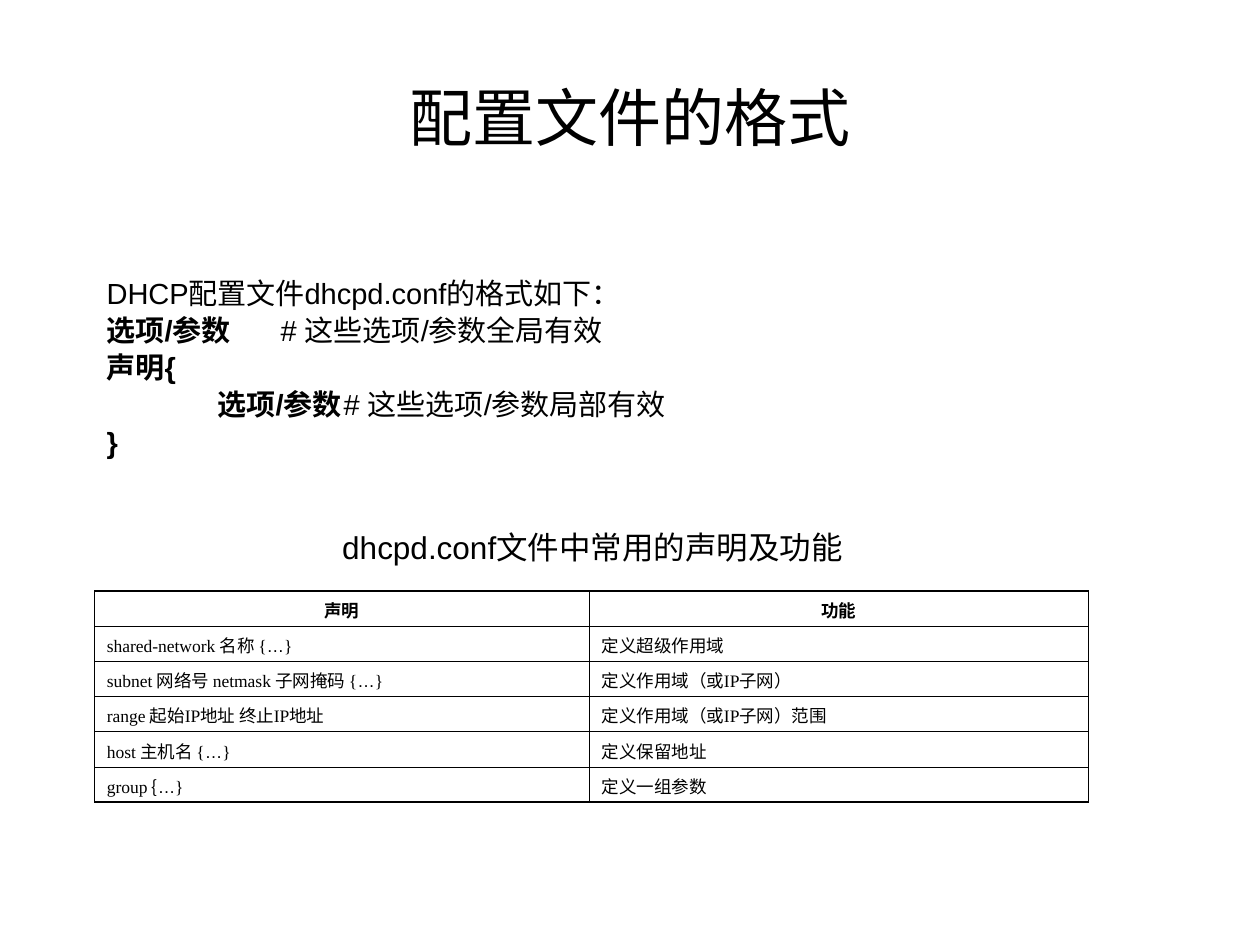
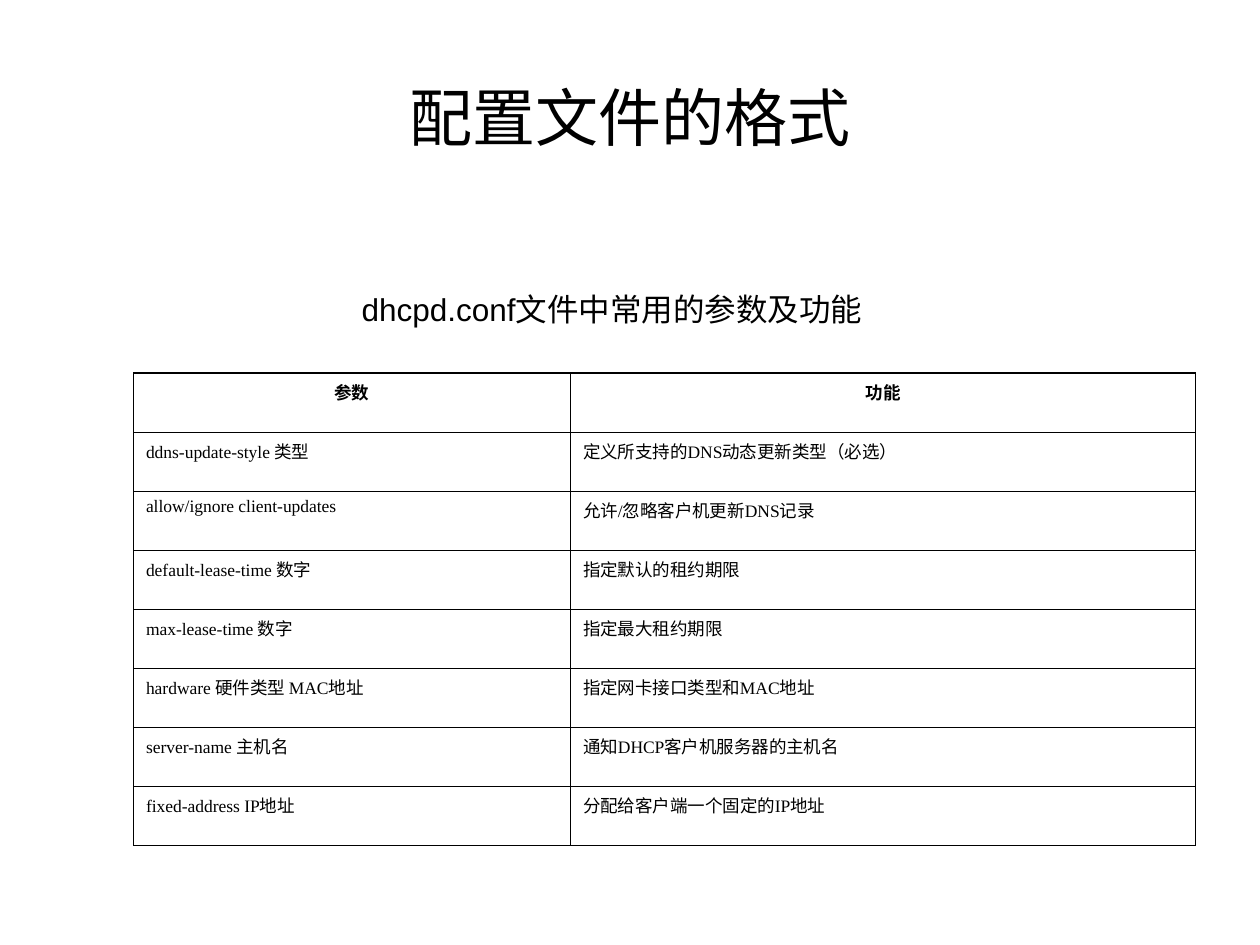
from lxml.etree import SubElement
from pptx import Presentation
from pptx.dml.color import RGBColor
from pptx.enum.text import MSO_ANCHOR, MSO_AUTO_SIZE, PP_ALIGN
from pptx.oxml.ns import qn
from pptx.util import Cm, Pt

BLACK = "000000"
SANS, SERIF, CHINESE = "Arial", "Times New Roman", "Noto Sans CJK SC"
HANGING = Cm(0.97)
TAB_STOPS = [Cm(2.54 * number) for number in range(8)]
OUTER_SIDE, OUTER_EDGE, INNER_LINE = 0.34, 0.96, 0.45

TITLE = "配置文件的格式"
ELLIPSIS = ("…", SANS)

# Each line is a bold part followed by a plain part.
CONFIG_FORMAT = [
    ("", "DHCP配置文件dhcpd.conf的格式如下："),
    ("选项/参数\t", "# 这些选项/参数全局有效"),
    ("声明{", ""),
    ("\t\t选项/参数\t", "# 这些选项/参数局部有效"),
    ("}", ""),
]

# A cell is a list of runs: plain text, or text with its own font.
DECLARATIONS = {
    "caption": "dhcpd.conf文件中常用的声明及功能",
    "caption_at": (6.65, 10.52),
    "table_at": (1.9, 11.91),
    "columns": (9.98, 10.06),
    "row_height": 0.71,
    "rows": [
        (["声明"], ["功能"]),
        (["shared-network 名称 {", ELLIPSIS, "}"], ["定义超级作用域"]),
        (["subnet 网络号 netmask 子网掩码 {", ELLIPSIS, "}"], ["定义作用域（或IP子网）"]),
        (["range 起始IP地址 终止IP地址"], ["定义作用域（或IP子网）范围"]),
        (["host 主机名 {", ELLIPSIS, "}"], ["定义保留地址"]),
        (["group ", ("{", CHINESE), ELLIPSIS, "}"], ["定义一组参数"]),
    ],
}
PARAMETERS = {
    "caption": "dhcpd.conf文件中常用的参数及功能",
    "caption_at": (7.04, 5.72),
    "table_at": (2.69, 7.52),
    "columns": (8.81, 12.6),
    "row_height": 1.19,
    "rows": [
        (["参数"], ["功能"]),
        (["ddns-update-style 类型"], ["定义所支持的DNS动态更新类型（必选）"]),
        (["allow/ignore client-updates"], ["允许/忽略客户机更新DNS记录"]),
        (["default-lease-time 数字"], ["指定默认的租约期限"]),
        (["max-lease-time 数字"], ["指定最大租约期限"]),
        (["hardware 硬件类型 MAC地址"], ["指定网卡接口类型和MAC地址"]),
        (["server-name 主机名"], ["通知DHCP客户机服务器的主机名"]),
        (["fixed-address IP地址"], ["分配给客户端一个固定的IP地址"]),
    ],
}


def color(hex_string):
    return RGBColor.from_string(hex_string)


def format_run(run, size, font_name=SANS, bold=False):
    run.font.size = Pt(size)
    run.font.name = font_name
    run.font.bold = bold
    run.font.color.rgb = color(BLACK)
    run.font._element.find(qn("a:latin")).addnext(
        run.font._element.makeelement(qn("a:ea"), {"typeface": CHINESE}))


def add_run(paragraph, text, *formatting):
    run = paragraph.add_run()
    run.text = text
    format_run(run, *formatting)


def set_hanging_indent(paragraph):
    properties = paragraph._p.get_or_add_pPr()
    properties.set("marL", str(HANGING))
    properties.set("indent", str(-HANGING))
    return properties


def add_title_slide(presentation):
    slide = presentation.slides.add_slide(presentation.slide_layouts[5])
    title = slide.shapes.title
    title.left, title.top, title.width, title.height = Cm(1.27), Cm(0.76), Cm(22.86), Cm(3.18)
    frame = title.text_frame
    frame.text = TITLE
    frame.auto_size = MSO_AUTO_SIZE.NONE
    frame.vertical_anchor = MSO_ANCHOR.MIDDLE
    frame.paragraphs[0].alignment = PP_ALIGN.CENTER
    format_run(frame.paragraphs[0].runs[0], 36)
    return slide


def add_config_format(slide):
    frame = slide.shapes.add_textbox(Cm(1.9), Cm(5.54), Cm(19.79), Cm(4.6)).text_frame
    frame.word_wrap = True
    for index, (bold_text, plain_text) in enumerate(CONFIG_FORMAT):
        paragraph = frame.add_paragraph() if index else frame.paragraphs[0]
        tab_list = SubElement(set_hanging_indent(paragraph), qn("a:tabLst"))
        for position in TAB_STOPS:
            SubElement(tab_list, qn("a:tab"), pos=str(position), algn="l")
        paragraph.line_spacing = 0.84
        if index:
            paragraph.space_before = Pt(4.5)
        for text, bold in ((bold_text, True), (plain_text, False)):
            if text:
                add_run(paragraph, text, 16.6, SANS, bold)


def add_caption(slide, text, left, top):
    frame = slide.shapes.add_textbox(Cm(left), Cm(top), Cm(10.9), Cm(1.02)).text_frame
    frame.text = text
    frame.word_wrap = False
    frame.auto_size = MSO_AUTO_SIZE.SHAPE_TO_FIT_TEXT
    frame.vertical_anchor = MSO_ANCHOR.MIDDLE
    format_run(frame.paragraphs[0].runs[0], 18)


def set_borders(cell, widths):
    """Draw the cell's left, right, top and bottom lines, in that order."""
    properties = cell._tc.get_or_add_tcPr()
    for index, (side, width) in enumerate(zip("LRTB", widths)):
        line = properties.makeelement(qn(f"a:ln{side}"), {"w": str(Pt(width))})
        fill = SubElement(line, qn("a:solidFill"))
        SubElement(fill, qn("a:srgbClr"), val=BLACK)
        properties.insert(index, line)


def fill_cell(cell, runs, is_header):
    cell.fill.background()
    paragraph = cell.text_frame.paragraphs[0]
    set_hanging_indent(paragraph)
    if is_header:
        paragraph.alignment = PP_ALIGN.CENTER
    for run in runs:
        text, font_name = (run, SERIF) if isinstance(run, str) else run
        add_run(paragraph, text, 10, font_name, is_header)


def add_function_table(slide, content):
    rows, columns = content["rows"], content["columns"]
    left, top = content["table_at"]
    row_height = content["row_height"]
    table = slide.shapes.add_table(
        len(rows), len(columns), Cm(left), Cm(top),
        Cm(sum(columns)), Cm(row_height * len(rows))).table
    table.first_row = table.horz_banding = False
    for column, width in zip(table.columns, columns):
        column.width = Cm(width)
    last_row, last_column = len(rows) - 1, len(columns) - 1
    for row_index, row in enumerate(rows):
        table.rows[row_index].height = Cm(row_height)
        for column_index, runs in enumerate(row):
            cell = table.cell(row_index, column_index)
            fill_cell(cell, runs, row_index == 0)
            set_borders(cell, (
                OUTER_SIDE if column_index == 0 else INNER_LINE,
                OUTER_SIDE if column_index == last_column else INNER_LINE,
                OUTER_EDGE if row_index == 0 else INNER_LINE,
                OUTER_EDGE if row_index == last_row else INNER_LINE))


def main():
    presentation = Presentation()
    presentation.slide_width, presentation.slide_height = Cm(25.4), Cm(19.05)
    for content in (DECLARATIONS, PARAMETERS):
        slide = add_title_slide(presentation)
        if content is DECLARATIONS:
            add_config_format(slide)
        add_function_table(slide, content)
        add_caption(slide, content["caption"], *content["caption_at"])
    presentation.save("out.pptx")


if __name__ == "__main__":
    main()
